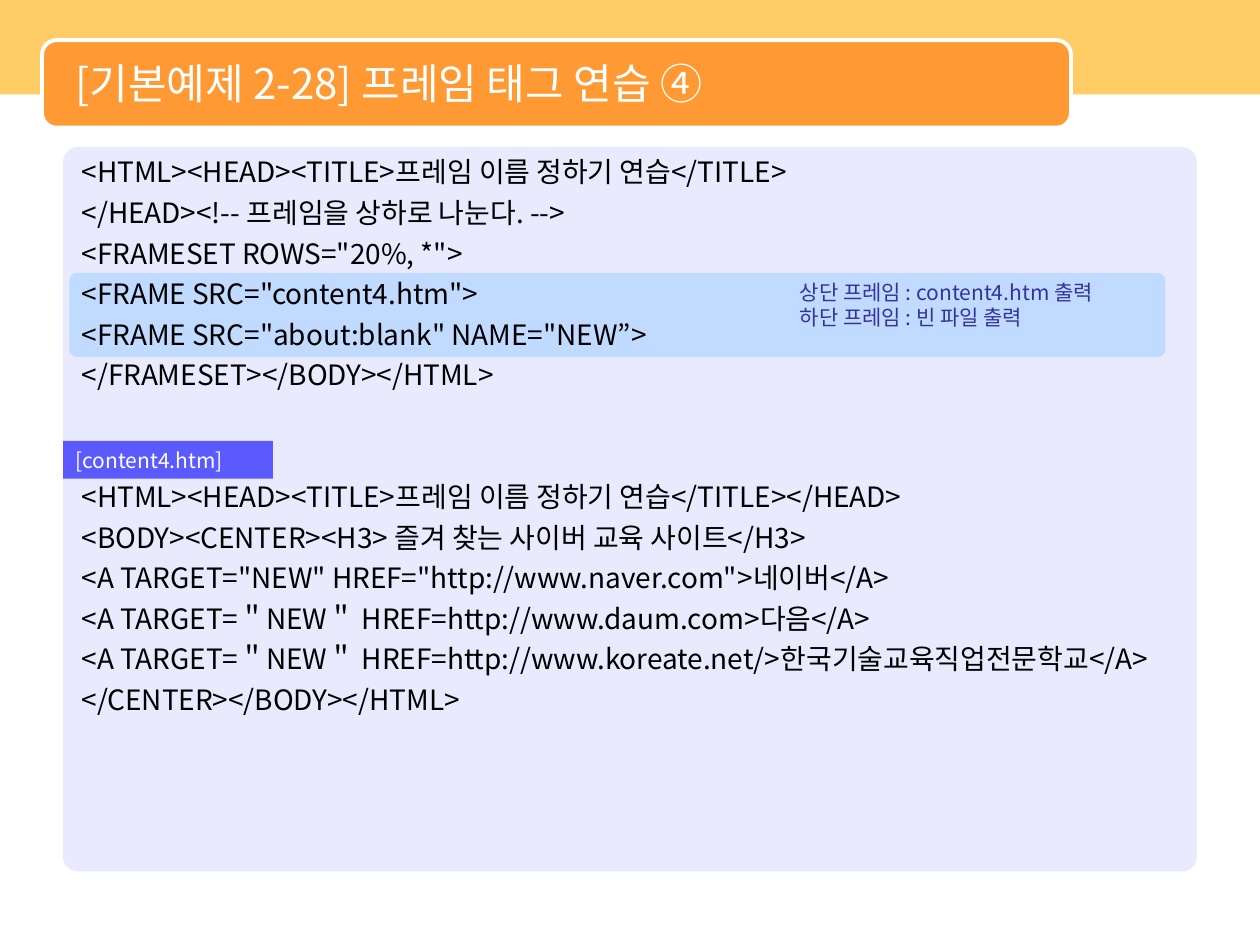
from lxml.etree import SubElement
from pptx import Presentation
from pptx.dml.color import RGBColor
from pptx.enum.shapes import MSO_SHAPE
from pptx.enum.text import MSO_ANCHOR, PP_ALIGN
from pptx.oxml.ns import qn
from pptx.util import Pt

FONT = "Noto Sans CJK KR"
COLORS = {
    "band": "FFCC66",
    "title": "FF9933",
    "panel": "CCCCFF",
    "highlight": "99CCFF",
    "label": "0000FF",
    "note": "333399",
    "white": "FFFFFF",
    "black": "000000",
}
CODE_FORMAT = {"line_spacing": Pt(19.2), "space_before": Pt(4)}
SMALL_FORMAT = {"line_spacing": Pt(14.4)}
FRAME_CODE = [
    " <HTML><HEAD><TITLE>프레임 이름 정하기 연습</TITLE>",
    " </HEAD><!-- 프레임을 상하로 나눈다. -->",
    ' <FRAMESET ROWS="20%, *">',
    ' <FRAME SRC="content4.htm">',
    ' <FRAME SRC="about:blank" NAME="NEW”>',
    " </FRAMESET></BODY></HTML>",
]
CONTENT_CODE = [
    " <HTML><HEAD><TITLE>프레임 이름 정하기 연습</TITLE></HEAD>",
    " <BODY><CENTER><H3> 즐겨 찾는 사이버 교육 사이트</H3>",
    ' <A TARGET="NEW" HREF="http://www.naver.com">네이버</A>',
    " <A TARGET=＂NEW＂ HREF=http://www.daum.com>다음</A>",
    " <A TARGET=＂NEW＂ HREF=http://www.koreate.net/>한국기술교육직업전문학교</A>",
    " </CENTER></BODY></HTML>",
]
NOTES = ["상단 프레임 : content4.htm 출력", "하단 프레임 : 빈 파일 출력"]


def color(name):
    return RGBColor.from_string(COLORS[name])


def add_block(slide, box, fill, opacity=100, radius=None, outline=None):
    """Add a rectangle, rounded when a radius ratio is given."""
    kind = MSO_SHAPE.RECTANGLE if radius is None else MSO_SHAPE.ROUNDED_RECTANGLE
    shape = slide.shapes.add_shape(kind, *map(Pt, box))
    shape.shadow.inherit = False
    if radius is not None:
        shape.adjustments[0] = radius
    shape.fill.solid()
    shape.fill.fore_color.rgb = color(fill)
    if opacity < 100:
        solid = shape.fill._xPr.find(qn("a:solidFill"))
        SubElement(solid[0], qn("a:alpha"), val=str(opacity * 1000))
    if outline:
        shape.line.color.rgb = color(outline)
        shape.line.width = Pt(2.25)
    else:
        shape.line.fill.background()
    return shape


def write_lines(shape, lines, size, font_color, formats, anchor=MSO_ANCHOR.TOP):
    frame = shape.text_frame
    frame.word_wrap = True
    frame.vertical_anchor = anchor
    for index, line in enumerate(lines):
        paragraph = frame.paragraphs[0] if index == 0 else frame.add_paragraph()
        paragraph.alignment = PP_ALIGN.LEFT
        for name, value in formats.items():
            setattr(paragraph, name, value)
        run = paragraph.add_run()
        run.text = line
        for name, value in {"name": FONT, "size": Pt(size)}.items():
            setattr(run.font, name, value)
        run.font.color.rgb = color(font_color)
        SubElement(run.font._element, qn("a:ea"), typeface=FONT)
    frame.paragraphs[0].space_before = Pt(0)
    return frame


def add_text(slide, box, *text):
    return write_lines(slide.shapes.add_textbox(*map(Pt, box)), *text)


def add_code(slide):
    """Write both listings, leaving room between them for the file label."""
    frame = add_text(slide, (36, 85, 634, 413), FRAME_CODE + CONTENT_CODE,
                     16, "black", CODE_FORMAT)
    for paragraph in frame.paragraphs:
        properties = paragraph._p.get_or_add_pPr()
        properties.set("marL", str(Pt(27)))
        properties.set("indent", str(Pt(-27)))
    frame.paragraphs[len(FRAME_CODE)].space_before = Pt(50.4)


def main():
    presentation = Presentation()
    presentation.slide_width, presentation.slide_height = Pt(720), Pt(540)
    slide = presentation.slides.add_slide(presentation.slide_layouts[6])

    add_block(slide, (0, 0, 720, 54), "band")
    add_block(slide, (24, 23, 588, 50), "title", radius=0.167, outline="white")
    add_block(slide, (36, 84, 648, 414), "panel", 40, 0.021)
    add_block(slide, (39.6, 156, 626.4, 48), "highlight", 50, 0.09)

    add_text(slide, (36, 25, 570, 45), ["[기본예제 2-28] 프레임 태그 연습 ④"],
             24, "white", {}, MSO_ANCHOR.MIDDLE)
    add_code(slide)
    label = add_block(slide, (36, 252, 120, 21.6), "label", 61)
    write_lines(label, ["[content4.htm]"], 12, "white", SMALL_FORMAT)
    add_text(slide, (450, 156, 210, 36), NOTES, 12, "note", SMALL_FORMAT)

    presentation.save("out.pptx")


if __name__ == "__main__":
    main()
